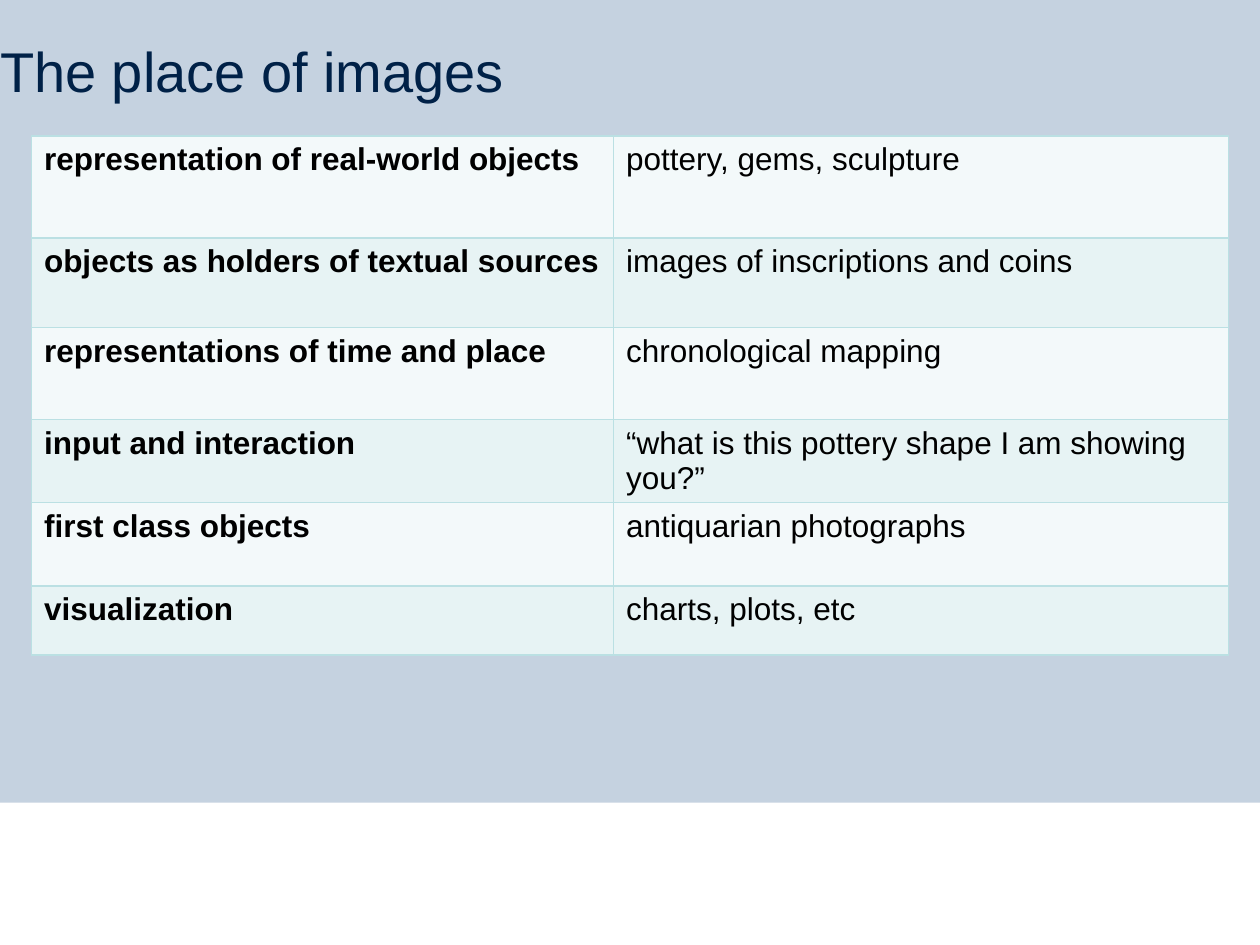
from lxml.etree import SubElement
from pptx import Presentation
from pptx.dml.color import RGBColor
from pptx.enum.shapes import MSO_SHAPE
from pptx.enum.text import MSO_ANCHOR, PP_ALIGN
from pptx.oxml.ns import qn
from pptx.util import Inches, Pt

BACKGROUND = RGBColor(0xC5, 0xD2, 0xE0)
WHITE = RGBColor(0xFF, 0xFF, 0xFF)
BLACK = RGBColor(0, 0, 0)
NAVY = RGBColor(0x00, 0x21, 0x47)
BORDER = RGBColor(0xBB, 0xE0, 0xE3)
ROW_FILLS = (RGBColor(0xF3, 0xF9, 0xFA), RGBColor(0xE7, 0xF3, 0xF4))

FONT = "Arial"
COL_WIDTHS = (4.62, 4.88)
ROWS = (
    (0.81, "representation of real-world objects", "pottery, gems, sculpture"),
    (0.71, "objects as holders of textual sources", "images of inscriptions and coins"),
    (0.73, "representations of time and place", "chronological mapping"),
    (0.66, "input and interaction", "“what is this pottery shape I am showing you?”"),
    (0.66, "first class objects", "antiquarian photographs"),
    (0.55, "visualization", "charts, plots, etc"),
)


def set_font(p, size, color, bold=False):
    p.font.name = FONT
    p.font.size = Pt(size)
    p.font.bold = bold
    p.font.color.rgb = color


def add_footer_band(slide):
    sp = slide.shapes.add_shape(
        MSO_SHAPE.RECTANGLE, 0, Inches(6.37), Inches(10), Inches(1.13))
    sp.shadow.inherit = False
    sp.fill.solid()
    sp.fill.fore_color.rgb = WHITE
    sp.line.fill.background()


def set_title(slide, text):
    title = slide.shapes.title
    title.left, title.top = 0, Inches(0.31)
    title.width, title.height = Inches(8.5), Inches(1.02)
    tf = title.text_frame
    tf.margin_left = tf.margin_top = tf.margin_right = tf.margin_bottom = 0
    tf.vertical_anchor = MSO_ANCHOR.TOP
    tf.text = text
    p = tf.paragraphs[0]
    p.alignment = PP_ALIGN.LEFT
    p.line_spacing = Pt(37)
    set_font(p, 32, NAVY)


def set_borders(cell):
    """Draw all four sides; must run before the cell's fill is set."""
    tc_pr = cell._tc.get_or_add_tcPr()
    for side in ("lnL", "lnR", "lnT", "lnB"):
        ln = SubElement(tc_pr, qn(f"a:{side}"), w=str(Pt(1)))
        fill = SubElement(ln, qn("a:solidFill"))
        SubElement(fill, qn("a:srgbClr"), val=str(BORDER))


def fill_cell(cell, text, fill, bold):
    set_borders(cell)
    cell.fill.solid()
    cell.fill.fore_color.rgb = fill
    cell.text = text
    set_font(cell.text_frame.paragraphs[0], 18, BLACK, bold)


def add_image_table(slide):
    height = sum(row[0] for row in ROWS)
    table = slide.shapes.add_table(
        len(ROWS), len(COL_WIDTHS), Inches(0.25), Inches(1.08),
        Inches(sum(COL_WIDTHS)), Inches(height)).table
    table.first_row = False
    table.horz_banding = False
    for column, width in zip(table.columns, COL_WIDTHS):
        column.width = Inches(width)
    for r, (row_height, *texts) in enumerate(ROWS):
        table.rows[r].height = Inches(row_height)
        for c, text in enumerate(texts):
            fill_cell(table.cell(r, c), text, ROW_FILLS[r % 2], bold=c == 0)


def main():
    prs = Presentation()
    prs.slide_width, prs.slide_height = Inches(10), Inches(7.5)
    slide = prs.slides.add_slide(prs.slide_layouts[5])
    slide.background.fill.solid()
    slide.background.fill.fore_color.rgb = BACKGROUND
    add_footer_band(slide)
    set_title(slide, "The place of images")
    add_image_table(slide)
    prs.save("out.pptx")


if __name__ == "__main__":
    main()
